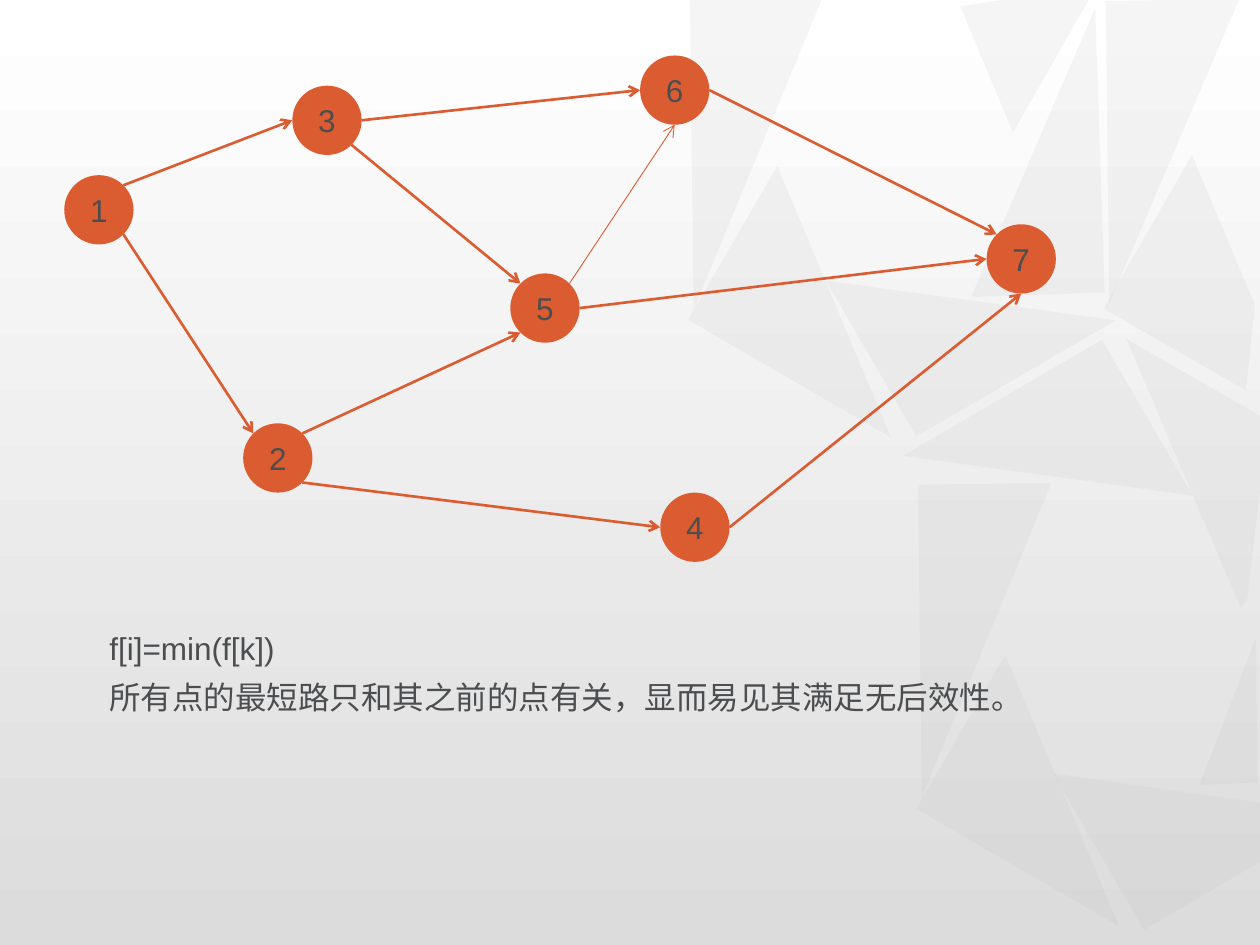
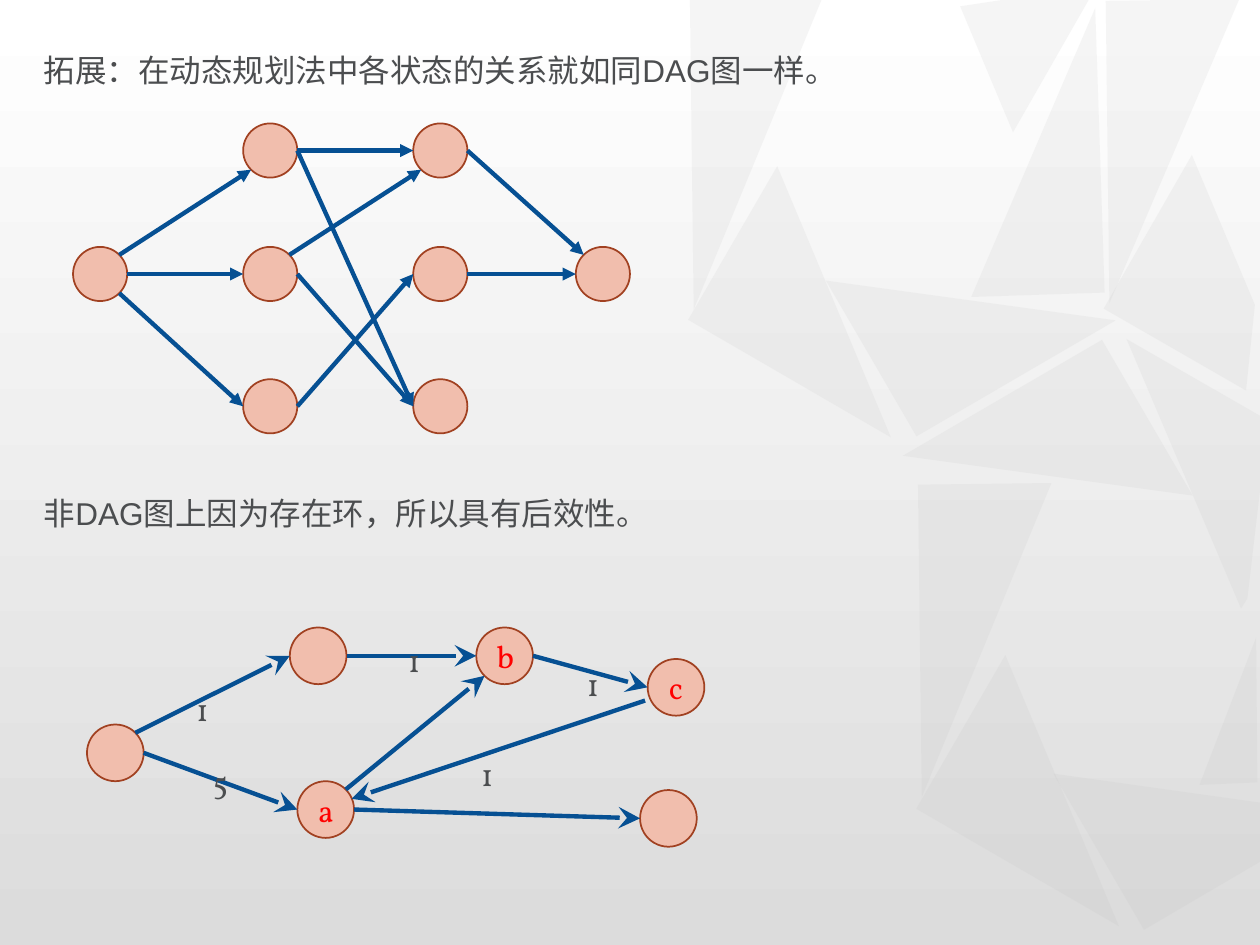
import math

import lxml.etree
import pptx
import pptx.dml.color
import pptx.enum.shapes
import pptx.enum.text
import pptx.oxml.ns
import pptx.util

Inches = pptx.util.Inches
SHAPES = pptx.enum.shapes.MSO_SHAPE

ORANGE = "DC5C31"
PEACH = "F1BEAD"
BROWN = "A14121"
NAVY = "065093"
RED = "FF0000"
INK = "4B4D4F"
FACET = "BFBFBF"
BACKDROP = ("DCDCDC", "FFFFFF")
SANS = "Arial"
SERIF = "Vollkorn"

TOP, TOP_LEFT, LEFT, BOTTOM_LEFT, BOTTOM, BOTTOM_RIGHT, RIGHT, TOP_RIGHT = range(8)

TRIANGLES = [
    (7.4, 3.06, 1.83, 1.43, 149.8),
    (6.59, 4.55, 2.48, 1.06, 89.3),
    (7.5, 5.57, 1.86, 1.41, 30.1),
    (8.12, 0.67, 2.4, 1.06, 89.3),
    (4.78, 0.68, 2.48, 1.06, 89.3),
    (5.69, 1.69, 1.86, 1.41, 30.1),
    (6.79, 1.67, 1.83, 1.43, 329.8),
    (7.07, 0.68, 2.26, 1.06, 268.1),
]
CUT_FACETS = [
    [(8.36, 6.14), (10, 6.37), (10, 6.84), (9.08, 7.38)],
    [(9.97, 5.06), (9.98, 6.21), (9.52, 6.23)],
    [(8.94, 2.69), (10, 3.3), (10, 3.9), (9.9, 4.75), (9.85, 4.83)],
    [(9.46, 1.23), (9.96, 2.42), (9.89, 3.1), (8.76, 2.45)],
    [(7.62, 0.05), (7.95, 0), (8.64, 0), (8.04, 1.05)],
]


def color(hex_code):
    """Turn a hex string into a colour."""
    return pptx.dml.color.RGBColor.from_string(hex_code)


def add_child(parent, tag, **attributes):
    """Append a drawing element with the given attributes."""
    return lxml.etree.SubElement(parent, pptx.oxml.ns.qn(tag), attributes)


def paint_facet(facet):
    """Give a facet its translucent grey fill."""
    facet.shadow.inherit = False
    facet.line.fill.background()
    facet.fill.solid()
    facet.fill.fore_color.rgb = color(FACET)
    tint = facet.element.spPr.find(".//" + pptx.oxml.ns.qn("a:srgbClr"))
    add_child(tint, "a:alpha", val="14000")


def build_backdrop(deck, page):
    """Draw the gradient and facets once and move them to the slide master."""
    base = page.shapes.add_shape(SHAPES.RECTANGLE, 0, 0, deck.slide_width, deck.slide_height)
    base.shadow.inherit = False
    base.line.fill.background()
    base.fill.gradient()
    base.fill.gradient_angle = 90
    for stop, shade in zip(base.fill.gradient_stops, BACKDROP):
        stop.color.rgb = color(shade)
    for *frame, turn in TRIANGLES:
        triangle = page.shapes.add_shape(SHAPES.RIGHT_TRIANGLE, *map(Inches, frame))
        triangle.rotation = turn
        paint_facet(triangle)
    for corners in CUT_FACETS:
        points = [(Inches(x), Inches(y)) for x, y in corners]
        outline = page.shapes.build_freeform(*points[0])
        outline.add_line_segments(points[1:], close=True)
        paint_facet(outline.convert_to_shape())
    master_tree = deck.slide_master.shapes.element
    for shape in list(page.shapes):
        master_tree.append(shape.element)


def write(para, text, font, shade):
    """Add one formatted run to a paragraph."""
    span = para.add_run()
    span.text = text
    span.font.size = pptx.util.Pt(18)
    span.font.name = font
    span.font.color.rgb = color(shade)


def add_text(page, frame, lines, font=SANS, spacing=1.0, gap=0, wrap=False):
    """Add a text box whose later paragraphs follow a gap in points."""
    box = page.shapes.add_textbox(*map(Inches, frame))
    box.text_frame.word_wrap = wrap
    for index, line in enumerate(lines):
        para = box.text_frame.add_paragraph() if index else box.text_frame.paragraphs[0]
        para.line_spacing = spacing
        para.space_before = pptx.util.Pt(gap if index else 0)
        write(para, line, font, INK)


def add_node(page, left, top, size, fill, outline=None, label="", font=SANS, ink=INK):
    """Add a round graph node with an optional label."""
    node = page.shapes.add_shape(SHAPES.OVAL, *map(Inches, (left, top, size, size)))
    node.shadow.inherit = False
    node.fill.solid()
    node.fill.fore_color.rgb = color(fill)
    if outline:
        node.line.color.rgb = color(outline)
        node.line.width = pptx.util.Pt(1)
    else:
        node.line.fill.background()
    if label:
        node.text_frame.vertical_anchor = pptx.enum.text.MSO_ANCHOR.MIDDLE
        para = node.text_frame.paragraphs[0]
        para.alignment = pptx.enum.text.PP_ALIGN.CENTER
        write(para, label, font, ink)
    return node


def add_arrow(page, start, end, shade, weight, head, size="med"):
    """Add a straight arrow between two points."""
    arrow = page.shapes.add_connector(pptx.enum.shapes.MSO_CONNECTOR.STRAIGHT, *start, *end)
    arrow.line.color.rgb = color(shade)
    arrow.line.width = pptx.util.Pt(weight)
    add_child(arrow.line._get_or_add_ln(), "a:tailEnd", type=head, w=size, len=size)
    add_child(arrow.element.spPr, "a:effectLst")
    return arrow


def site_point(node, site):
    """Find one of the eight connection sites, counted from the top to the left."""
    radius, angle = node.width / 2, math.radians(45 * site)
    return (
        round(node.left + radius * (1 - math.sin(angle))),
        round(node.top + radius * (1 - math.cos(angle))),
    )


def link(page, source, source_site, target, target_site, *style):
    """Join two nodes with an arrow glued at the given sites."""
    arrow = add_arrow(
        page, site_point(source, source_site), site_point(target, target_site), *style
    )
    ends = arrow.element.find(".//" + pptx.oxml.ns.qn("p:cNvCxnSpPr"))
    add_child(ends, "a:stCxn", id=str(source.shape_id), idx=str(source_site))
    add_child(ends, "a:endCxn", id=str(target.shape_id), idx=str(target_site))


def build_numbered_graph(page, left, top):
    """Draw the graph of seven numbered points."""
    places = {
        1: (0, 0.95), 2: (1.42, 2.92), 5: (3.54, 1.73), 3: (1.81, 0.24),
        4: (4.73, 3.47), 6: (4.57, 0), 7: (7.32, 1.34),
    }
    nodes = {
        number: add_node(page, left + x, top + y, 0.55, ORANGE, label=str(number))
        for number, (x, y) in places.items()
    }
    edges = [
        (1, TOP_RIGHT, 3, LEFT), (1, BOTTOM_RIGHT, 2, TOP_LEFT),
        (2, TOP_RIGHT, 5, BOTTOM_LEFT), (2, BOTTOM_RIGHT, 4, LEFT),
        (3, RIGHT, 6, LEFT), (5, TOP_RIGHT, 6, BOTTOM),
        (3, BOTTOM_RIGHT, 5, TOP_LEFT), (5, RIGHT, 7, LEFT),
        (6, RIGHT, 7, TOP_LEFT), (4, RIGHT, 7, BOTTOM),
    ]
    for source, source_site, target, target_site in edges:
        weight = 0.5 if (source, target) == (5, 6) else 1.5
        link(page, nodes[source], source_site, nodes[target], target_site,
             ORANGE, weight, "arrow")


def build_state_graph(page, left, top):
    """Draw the layered graph of states without cycles."""
    columns, rows = (0, 1.35, 2.7, 3.99), (0, 0.98, 2.03)
    cells = [(0, 1), (1, 0), (1, 1), (1, 2), (2, 0), (2, 1), (2, 2), (3, 1)]
    nodes = {
        (column, row): add_node(page, left + columns[column], top + rows[row],
                                0.43, PEACH, BROWN)
        for column, row in cells
    }
    edges = [
        ((0, 1), TOP_RIGHT, (1, 0), BOTTOM_LEFT), ((0, 1), RIGHT, (1, 1), LEFT),
        ((0, 1), BOTTOM_RIGHT, (1, 2), LEFT), ((1, 0), RIGHT, (2, 0), LEFT),
        ((1, 0), RIGHT, (2, 2), LEFT), ((1, 1), RIGHT, (2, 2), LEFT),
        ((1, 2), RIGHT, (2, 1), LEFT), ((2, 0), RIGHT, (3, 1), TOP_LEFT),
        ((2, 1), RIGHT, (3, 1), LEFT), ((1, 1), TOP_RIGHT, (2, 0), BOTTOM_LEFT),
    ]
    for source, source_site, target, target_site in edges:
        link(page, nodes[source], source_site, nodes[target], target_site,
             NAVY, 2.5, "triangle")


def build_cycle_graph(page, left, top):
    """Draw the weighted graph with the cycle a, b, c."""
    places = {
        "start": (0, 0.77), "upper": (1.61, 0), "a": (1.67, 1.22),
        "b": (3.09, 0), "c": (4.45, 0.25), "end": (4.39, 1.29),
    }
    nodes = {
        name: add_node(page, left + x, top + y, 0.45, PEACH, BROWN,
                       name if name in "abc" else "", SERIF, RED)
        for name, (x, y) in places.items()
    }
    style = (NAVY, 2.5, "stealth", "lg")
    edges = [
        ("start", TOP_RIGHT, "upper", LEFT), ("start", RIGHT, "a", LEFT),
        ("upper", RIGHT, "b", LEFT), ("a", TOP_RIGHT, "b", BOTTOM_LEFT),
        ("b", RIGHT, "c", LEFT), ("a", RIGHT, "end", LEFT),
    ]
    for source, source_site, target, target_site in edges:
        link(page, nodes[source], source_site, nodes[target], target_site, *style)
    back_start = Inches(left + 4.43), Inches(top + 0.58)
    back_end = Inches(left + 2.1), Inches(top + 1.36)
    add_arrow(page, back_start, back_end, *style)
    weights = [
        ("5", 0.9, 1.03), ("1", 0.77, 0.45), ("1", 2.45, 0.06),
        ("1", 3.87, 0.25), ("1", 3.03, 0.96),
    ]
    for weight, x, y in weights:
        add_text(page, (left + x, top + y, 0.25, 0.4), [weight], SERIF, wrap=True)


def build_shortest_path_page(page):
    """Show the numbered graph and its recurrence."""
    build_numbered_graph(page, 0.51, 0.44)
    lines = ["f[i]=min(f[k])", "所有点的最短路只和其之前的点有关，显而易见其满足无后效性。"]
    add_text(page, (0.77, 4.85, 7.45, 0.88), lines, spacing=1.3)


def build_dag_page(page):
    """Compare a graph without cycles and one with a cycle."""
    lines = ["拓展：在动态规划法中各状态的关系就如同DAG图一样。",
             "非DAG图上因为存在环，所以具有后效性。"]
    add_text(page, (0.25, 0.27, 6.61, 4), lines, spacing=1.3, gap=225)
    build_state_graph(page, 0.58, 0.98)
    build_cycle_graph(page, 0.69, 4.98)


def main():
    """Build and save the deck."""
    deck = pptx.Presentation()
    deck.slide_width, deck.slide_height = Inches(10), Inches(7.5)
    blank = deck.slide_layouts[6]
    pages = [deck.slides.add_slide(blank) for _ in range(2)]
    build_backdrop(deck, pages[0])
    build_shortest_path_page(pages[0])
    build_dag_page(pages[1])
    deck.save("out.pptx")


if __name__ == "__main__":
    main()
